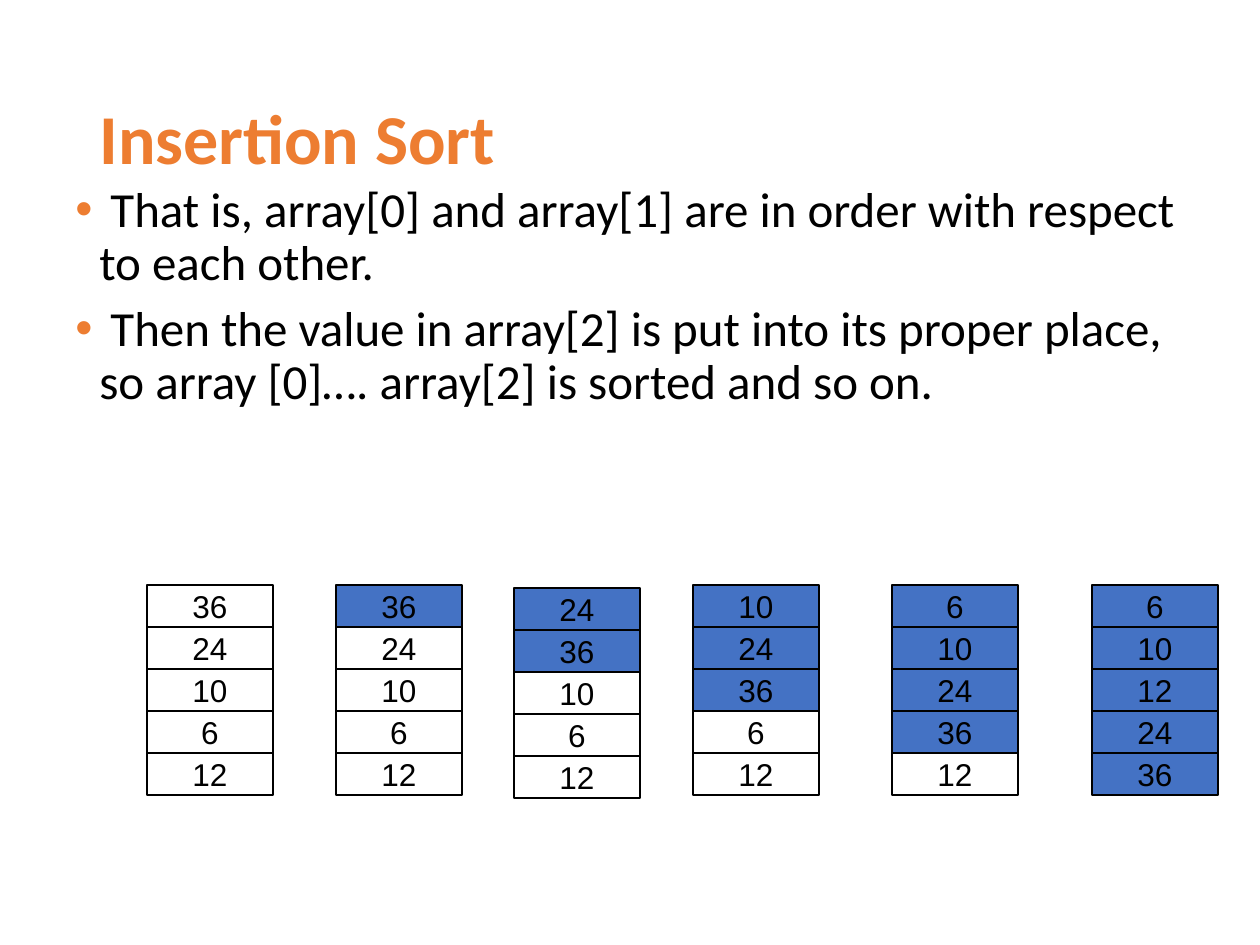
from lxml.etree import SubElement as Sub
from pptx import Presentation as Deck
from pptx.dml.color import RGBColor as RGB
from pptx.enum.shapes import MSO_SHAPE as Shape
from pptx.enum.text import MSO_ANCHOR as Anchor, PP_ALIGN as Align
from pptx.oxml.ns import qn
from pptx.util import Emu, Inches, Pt

ORANGE = RGB(0xED, 0x7D, 0x31)
BLUE = RGB(0x44, 0x72, 0xC4)
BLACK = RGB(0, 0, 0)

VALUES = [36, 24, 10, 6, 12]
LEFTS = [147, 336, 514, 693, 892, 1092]
TOPS = [585, 585, 588, 585, 585, 585]
POINTS = [
    " That is, array[0] and array[1] are in order with respect to each other.",
    " Then the value in array[2] is put into its proper place, "
    "so array [0]…. array[2] is sorted and so on.",
]


def px(n):
    return Emu(round(n * Inches(1) / 126))


class Page:
    """Holds the slide and its style, and draws each kind of element."""

    head = "Calibri"
    mono = "Arial"
    wide, high = 126, 42

    def __init__(self, slide):
        self.slide = slide

    def font(self, para, name, size, color, bold=False):
        font = para.font
        font.name, font.size, font.bold = name, Pt(size), bold
        font.color.rgb = color

    def frame(self, box, anchor):
        frame = self.slide.shapes.add_textbox(*map(px, box)).text_frame
        frame.word_wrap = True
        frame.vertical_anchor = anchor
        return frame

    def title(self, box, text):
        para = self.frame(box, Anchor.MIDDLE).paragraphs[0]
        para.text = text
        para.line_spacing = 0.9
        self.font(para, self.head, 40, ORANGE, True)

    def bullets(self, box, texts):
        frame = self.frame(box, Anchor.TOP)
        for i, text in enumerate(texts):
            para = frame.add_paragraph() if i else frame.paragraphs[0]
            para.text = text
            para.line_spacing = 0.9
            para.space_before = Pt(7.5 if i else 0)
            self.bullet(para)
            self.font(para, self.head, 28, BLACK)

    def bullet(self, para):
        props = para._p.get_or_add_pPr()
        props.set("marL", str(px(24)))
        props.set("indent", str(px(-24)))
        tint = Sub(props, qn("a:buClr"))
        Sub(tint, qn("a:srgbClr"), val=str(ORANGE))
        Sub(props, qn("a:buFont"), typeface=self.mono)
        Sub(props, qn("a:buChar"), char="•")

    def cell(self, left, top, value, done):
        box = map(px, (left, top, self.wide, self.high))
        cell = self.slide.shapes.add_shape(Shape.RECTANGLE, *box)
        cell.shadow.inherit = False
        if done:
            cell.fill.solid()
            cell.fill.fore_color.rgb = BLUE
        else:
            cell.fill.background()
        cell.line.color.rgb = BLACK
        cell.line.width = Pt(0.75)
        frame = cell.text_frame
        frame.word_wrap = False
        frame.vertical_anchor = Anchor.MIDDLE
        para = frame.paragraphs[0]
        para.text = str(value)
        para.alignment = Align.CENTER
        self.font(para, self.mono, 18, BLACK)

    def stack(self, left, top, values, count):
        for row, value in enumerate(values):
            self.cell(left, top + row * self.high, value, row < count)


def main():
    deck = Deck()
    deck.slide_width, deck.slide_height = Inches(10), Inches(7.5)
    page = Page(deck.slides.add_slide(deck.slide_layouts[6]))
    page.title((87, 50, 1087, 183), "Insertion Sort")
    page.bullets((63, 179, 1134, 336), POINTS)
    for count, (left, top) in enumerate(zip(LEFTS, TOPS)):
        values = sorted(VALUES[:count]) + VALUES[count:]
        page.stack(left, top, values, count)
    deck.save("out.pptx")


if __name__ == "__main__":
    main()
